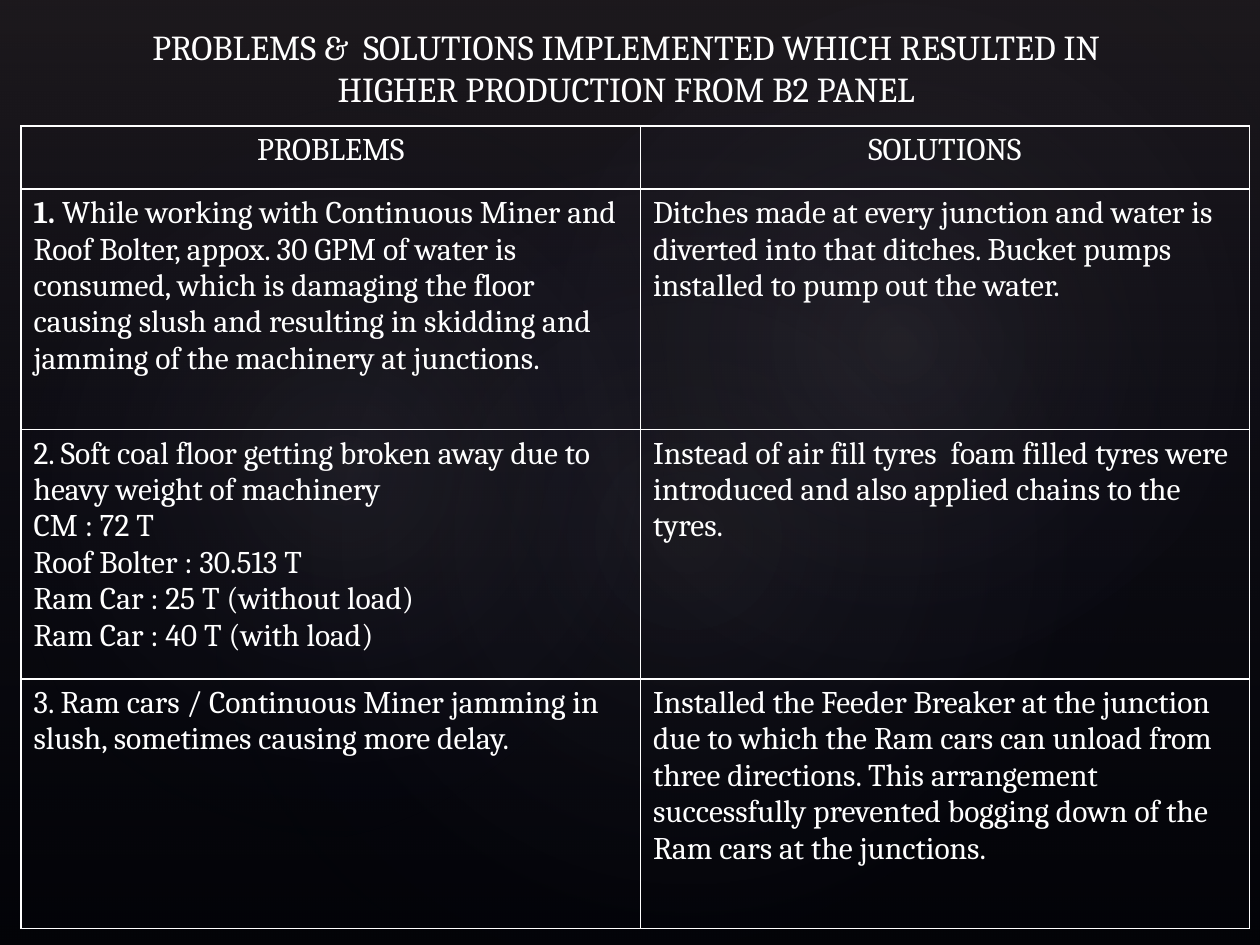
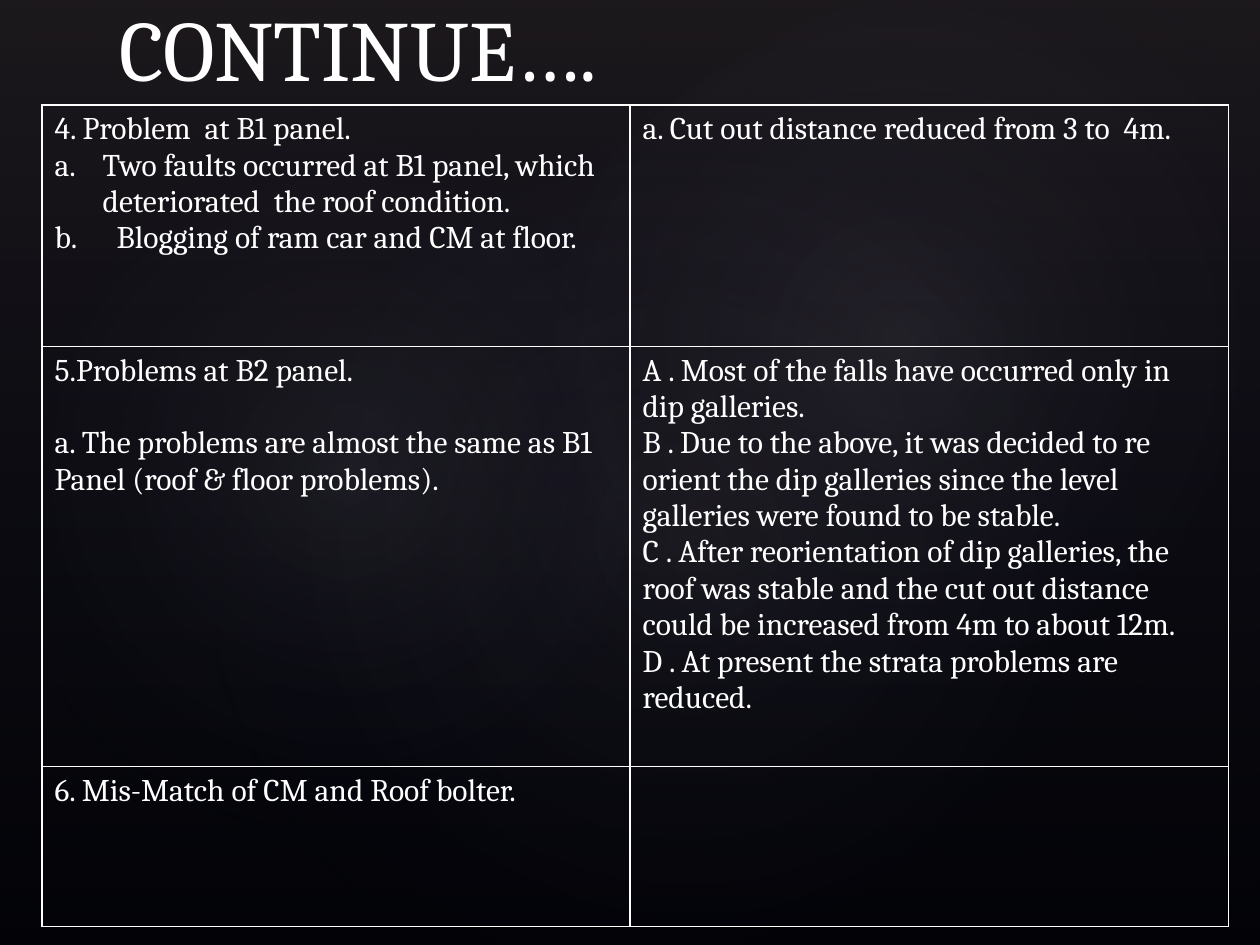
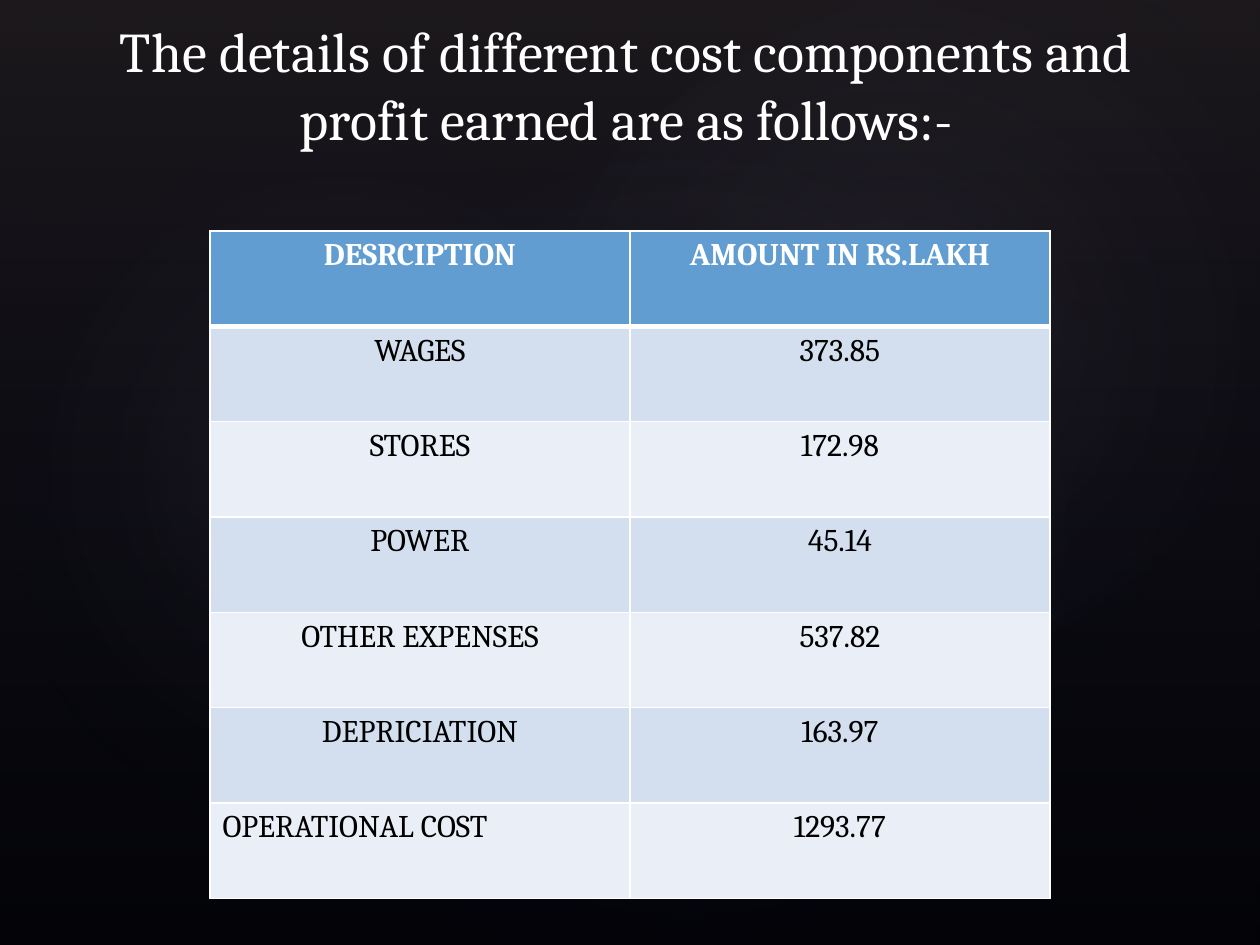
from dataclasses import dataclass

from lxml.etree import SubElement
from pptx import Presentation
from pptx.dml.color import RGBColor
from pptx.enum.shapes import MSO_SHAPE
from pptx.enum.text import MSO_ANCHOR, PP_ALIGN
from pptx.oxml import parse_xml
from pptx.oxml.ns import nsdecls, qn
from pptx.util import Pt


@dataclass(frozen=True)
class Theme:
    font: str = "Cambria"
    body: int = 18
    back: str = "000000"
    light: str = "FFFFFF"
    dark: str = "000000"
    header: str = "629DD1"
    bands: tuple = ("D3DFEE", "EAEFF7")
    veil: str = "504652"
    glow: str = "C4BCC6"
    fade: str = "242852"
    rule: float = 1
    header_rule: float = 3


THEME = Theme()
NO_STYLE = "{2D5ABB26-0587-4C30-8999-92F81FD0307C}"
LINEAR = '<a:lin ang="5400000" scaled="0"/>'
RADIAL = '<a:path path="circle"><a:fillToRect l="50000" t="50000" r="50000" b="50000"/></a:path>'

# Soft glows: left, top, width, height, rotation, opacity
GLOWS = [
    (108, 82, 570, 449, 328.7, 7),
    (-21.5, 92, 436, 353, 294.3, 8),
    (258, 9.5, 510.5, 374.5, 328.7, 8),
]

# Cell content: a paragraph is a text, or a text with its format
PROBLEM_HEADER = [[(name, {"align": PP_ALIGN.CENTER})] for name in ("PROBLEMS", "SOLUTIONS")]
PROBLEMS = [
    [[("While working with Continuous Miner and Roof Bolter, appox. 30 GPM of water is "
       "consumed, which is damaging the floor", {"lead": "1. "}),
      "causing slush and resulting in skidding and jamming of the machinery at junctions."],
     ["Ditches made at every junction and water is diverted into that ditches. "
      "Bucket pumps installed to pump out the water."]],
    [["2. Soft coal floor getting broken away due to heavy weight of machinery",
      "CM : 72 T", "Roof Bolter : 30.513 T",
      "Ram Car : 25 T (without load)", "Ram Car : 40 T (with load)"],
     ["Instead of air fill tyres  foam filled tyres were introduced and also applied "
      "chains to the tyres."]],
    [["3. Ram cars / Continuous Miner jamming in slush, sometimes causing more delay."],
     ["Installed the Feeder Breaker at the junction due to which the Ram cars can unload "
      "from three directions. This arrangement successfully prevented bogging down of the "
      "Ram cars at the junctions."]],
]

MORE_PROBLEMS = [
    [["4. Problem  at B1 panel.",
      ("Two faults occurred at B1 panel, which  deteriorated  the roof condition.",
       {"hang": 27.5, "number": 1}),
      ("Blogging of ram car and CM at floor.", {"hang": 35.5, "number": 2})],
     ["a. Cut out distance reduced from 3 to  4m."]],
    [["5.Problems at B2 panel.",
      ("a. The problems are almost the same as B1 Panel (roof & floor problems).",
       {"before": 20.75})],
     ["A . Most of the falls have occurred only in dip galleries.",
      "B . Due to the above, it was decided to re orient the dip galleries since the level "
      "galleries were found to be stable.",
      "C . After reorientation of dip galleries, the roof was stable and the cut out "
      "distance could be increased from 4m to about 12m.",
      "D . At present the strata problems are reduced."]],
    [["6. Mis-Match of CM and Roof bolter."], []],
]

COSTS = [
    ("DESRCIPTION", "AMOUNT IN RS.LAKH"),
    ("WAGES", "373.85"),
    ("STORES", "172.98"),
    ("POWER", "45.14"),
    ("OTHER EXPENSES", "537.82"),
    ("DEPRICIATION", "163.97"),
    ("OPERATIONAL COST", "1293.77"),
]


def write(frame, text, size=THEME.body, color=THEME.light, bold=False,
          align=PP_ALIGN.LEFT, lead="", before=0, hang=0, number=0):
    """Add one paragraph, with an optional bold lead or a hanging letter."""
    first = frame.paragraphs[0]
    para = frame.add_paragraph() if first.runs else first
    para.alignment = align
    para.space_before = Pt(before)
    if number:
        settings = para._p.get_or_add_pPr()
        settings.set("marL", str(Pt(hang)))
        settings.set("indent", str(-Pt(hang)))
        SubElement(settings, qn("a:buAutoNum"), type="alphaLcPeriod", startAt=str(number))
    for words, heavy in ((lead, True), (text, bold)):
        if words:
            span = para.add_run()
            span.text = words
            span.font.name = THEME.font
            span.font.size = Pt(size)
            span.font.bold = heavy
            span.font.color.rgb = RGBColor.from_string(color)


def add_title(page, text, top, height, **style):
    box = page.shapes.add_textbox(Pt(61), Pt(top), Pt(594), Pt(height))
    box.text_frame.word_wrap = True
    box.text_frame.vertical_anchor = MSO_ANCHOR.BOTTOM
    write(box.text_frame, text, **style)


def add_gradient(shape, stops, direction):
    """Fill a shape with stops of position, colour and opacity, in percent."""
    marks = "".join(
        f'<a:gs pos="{place * 1000}"><a:srgbClr val="{color}">'
        f'<a:alpha val="{opacity * 1000}"/></a:srgbClr></a:gs>'
        for place, color, opacity in stops)
    shape.fill.background()
    settings = shape.element.spPr
    settings.replace(settings.find(qn("a:noFill")), parse_xml(
        f'<a:gradFill rotWithShape="1" {nsdecls("a")}><a:gsLst>{marks}</a:gsLst>'
        f'{direction}</a:gradFill>'))


def build_backdrop(deck, page):
    """Draw the veil and glows, then move them to the master for all pages."""
    master = deck.slide_master
    master.background.fill.solid()
    master.background.fill.fore_color.rgb = RGBColor.from_string(THEME.back)

    veil = page.shapes.add_shape(MSO_SHAPE.RECTANGLE, 0, 0, deck.slide_width, deck.slide_height)
    add_gradient(veil, [(0, THEME.veil, 36), (100, THEME.fade, 10)], LINEAR)
    parts = [veil]
    for *place, turn, opacity in GLOWS:
        glow = page.shapes.add_shape(MSO_SHAPE.OVAL, *map(Pt, place))
        glow.rotation = turn
        add_gradient(glow, [(0, THEME.glow, opacity), (58, THEME.fade, 0)], RADIAL)
        parts.append(glow)

    for order, part in enumerate(parts):
        part.line.fill.background()
        part.shadow.inherit = False
        part.element.nvSpPr.cNvPr.set("id", str(100 + order))
        master.element.cSld.spTree.insert(2 + order, part.element)


def add_borders(cell, top, bottom):
    settings = cell._tc.get_or_add_tcPr()
    widths = {"lnL": THEME.rule, "lnR": THEME.rule, "lnT": top, "lnB": bottom}
    for side, width in widths.items():
        line = SubElement(settings, qn(f"a:{side}"), w=str(Pt(width)))
        SubElement(SubElement(line, qn("a:solidFill")), qn("a:srgbClr"), val=THEME.light)


def add_grid(page, left, top, widths, heights, rows, fills=(), header_rule=THEME.rule):
    """Add a table; fills holds one colour per row, or nothing for clear cells."""
    frame = page.shapes.add_table(len(heights), len(widths), Pt(left), Pt(top),
                                  Pt(sum(widths)), Pt(sum(heights)))
    table = frame.table
    table.first_row = table.horz_banding = False
    table._tbl.tblPr.find(qn("a:tableStyleId")).text = NO_STYLE
    for column, width in zip(table.columns, widths):
        column.width = Pt(width)
    for index, (height, row) in enumerate(zip(heights, rows)):
        table.rows[index].height = Pt(height)
        for position, paragraphs in enumerate(row):
            cell = table.cell(index, position)
            add_borders(cell, top=header_rule if index == 1 else THEME.rule,
                        bottom=header_rule if index == 0 else THEME.rule)
            if fills:
                cell.fill.solid()
                cell.fill.fore_color.rgb = RGBColor.from_string(fills[index])
            else:
                cell.fill.background()
            for item in paragraphs:
                text, style = (item, {}) if isinstance(item, str) else item
                write(cell.text_frame, text, **style)


def style_costs():
    """Give the cost rows their text formats; the total's label stays left."""
    rows = []
    for index, labels in enumerate(COSTS):
        style = {"color": THEME.dark if index else THEME.light,
                 "bold": index == 0, "align": PP_ALIGN.CENTER}
        rows.append([[(label, style)] for label in labels])
    total, style = rows[-1][0][0]
    rows[-1][0] = [(total, {**style, "align": PP_ALIGN.LEFT})]
    return rows


def main():
    deck = Presentation()
    deck.slide_width, deck.slide_height = Pt(720), Pt(540)
    blank = deck.slide_layouts[6]
    first, second, third = (deck.slides.add_slide(blank) for _ in range(3))
    build_backdrop(deck, first)

    # Problems and solutions
    add_grid(first, 12, 72, [354, 348], [36, 137.5, 142.5, 142.5],
             [PROBLEM_HEADER, *PROBLEMS])
    add_title(first, "PROBLEMS &  SOLUTIONS IMPLEMENTED WHICH RESULTED IN HIGHER "
              "PRODUCTION FROM B2 PANEL", 0, 66, size=20, align=PP_ALIGN.CENTER)

    # Problems continued
    add_title(second, "CONTINUE….", 0, 60, size=49)
    add_grid(second, 24, 60, [336, 342], [138, 240, 91.5], MORE_PROBLEMS)

    # Cost components
    add_title(third, "The details of different cost components and profit earned are as "
              "follows:-", 24, 66, size=32, align=PP_ALIGN.CENTER)
    fills = [THEME.header] + [THEME.bands[row % 2] for row in range(len(COSTS) - 1)]
    add_grid(third, 120, 132, [240] * 2, [54.5] * len(COSTS), style_costs(),
             fills, THEME.header_rule)

    deck.save("out.pptx")


if __name__ == "__main__":
    main()
